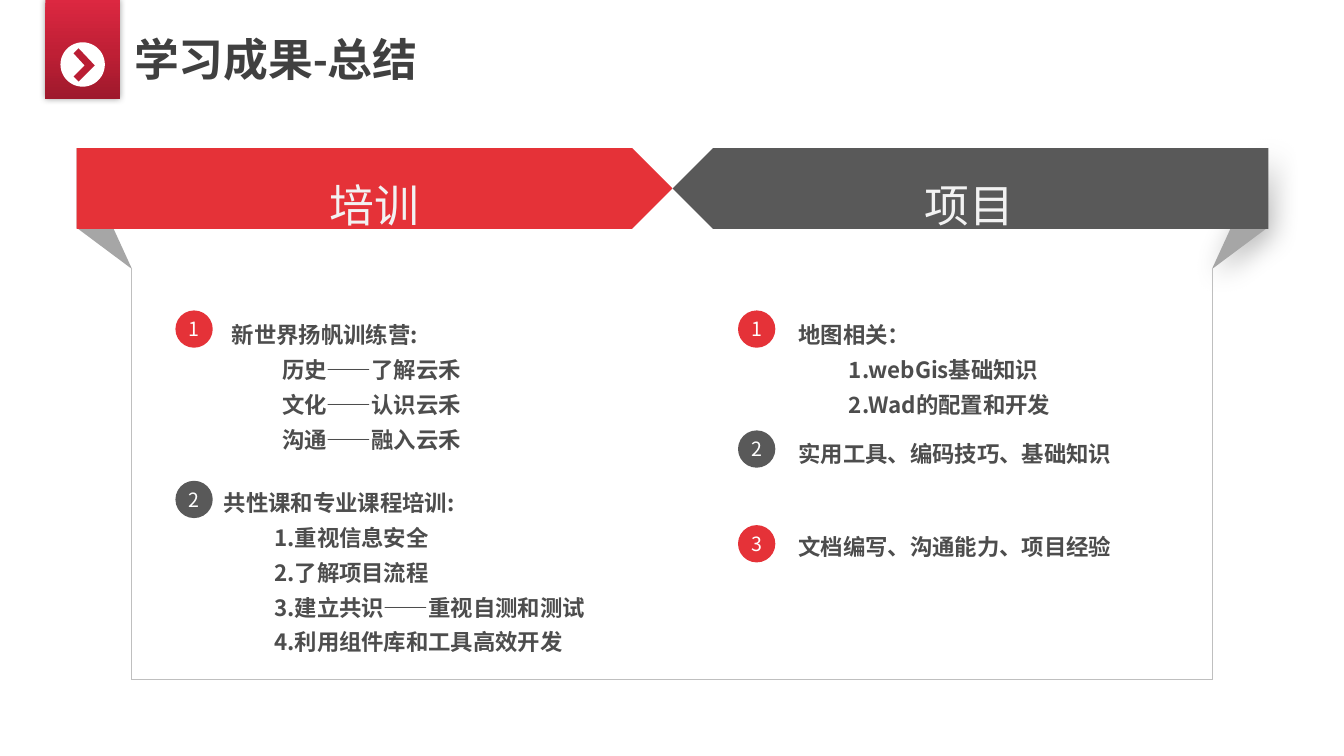
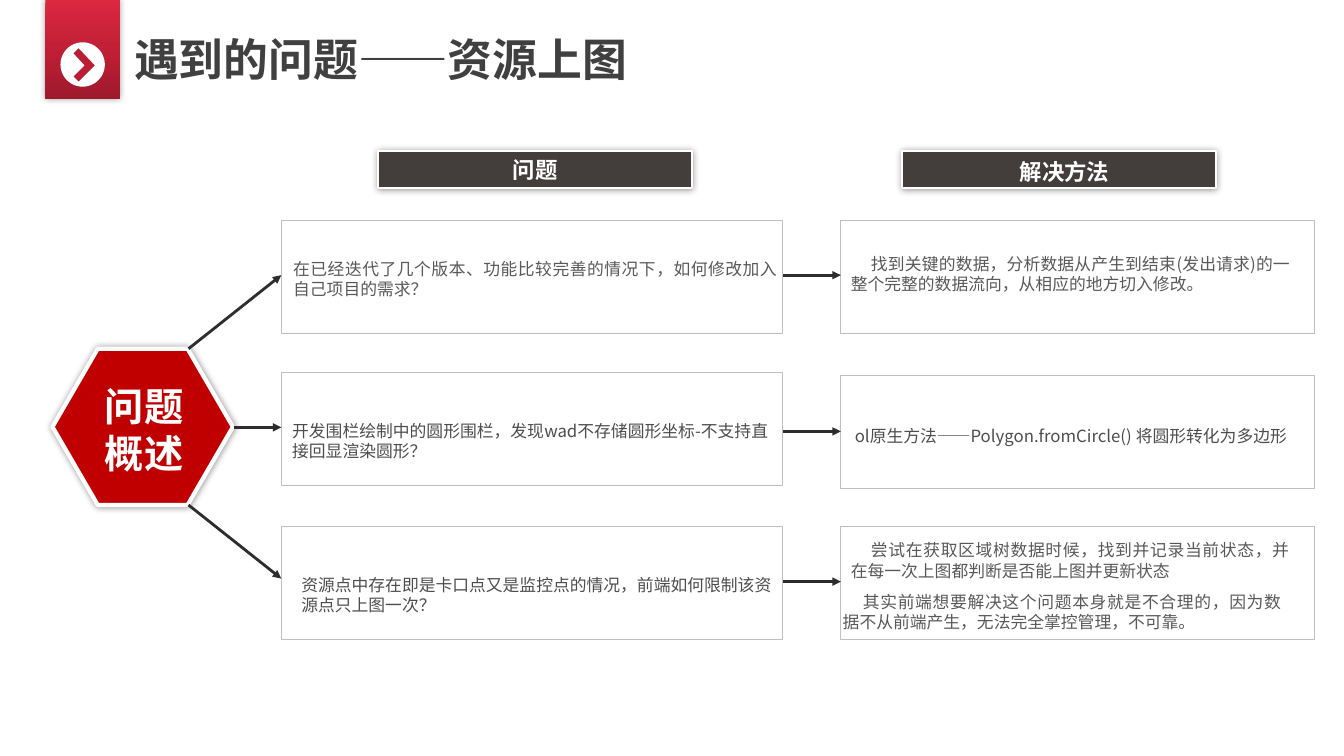
from pptx import Presentation, util as u
from pptx.dml.color import RGBColor
from pptx.enum import shapes, text
from pptx.oxml import parse_xml
from pptx.oxml.ns import nsdecls, qn

HEX = {
    "red": "E53238", "deep": "C00000", "mark": "BA1E34", "gray": "595959",
    "ink": "4D4D4D", "head": "404040", "fold": "A6A6A6", "rule": "BFBFBF",
    "dark": "433D3C", "wire": "2E2C2C", "pale": "F2F2F2", "white": "FFFFFF",
}
RIBBON = [(0, "DC2841"), (53, "BF1F35"), (100, "9E192C")]
FONT = "Noto Sans CJK SC"
GLOW = (40, 5, 0, 0)
CAST = (30, 20, 5, 45)
KIND = shapes.MSO_SHAPE
LEFT, MID, JUST = text.PP_ALIGN.LEFT, text.PP_ALIGN.CENTER, text.PP_ALIGN.JUSTIFY


def xml(tag, attrs="", inner=""):
    return parse_xml(f"<a:{tag} {nsdecls('a')} {attrs}>{inner}</a:{tag}>")


def rgb(name):
    return RGBColor.from_string(HEX[name])


class Deck:
    def __init__(self):
        self.prs = Presentation()
        self.prs.slide_width = u.Inches(13.33)
        self.prs.slide_height = u.Inches(7.5)
        self.page = None

    def start(self, layout, title):
        """Add a slide with its title, ribbon and chevron."""
        self.page = self.prs.slides.add_slide(self.prs.slide_layouts[layout])
        head = self.page.shapes.title
        self.place(head, 1.23, 0.26, 8, 0.64)
        self.put(head.text_frame, [title], 32, "head", True, font="Calibri")
        band = self.shape(KIND.RECTANGLE, 0.45, 0, 0.74, 0.98, "red", glow=GLOW)
        band.fill.gradient()
        band.fill.gradient_angle = 270
        stops = band.element.spPr.find(".//" + qn("a:gsLst"))
        stops.clear()
        for pos, tone in RIBBON:
            stops.append(xml("gs", f'pos="{pos * 1000}"', f'<a:srgbClr val="{tone}"/>'))
        self.shape(KIND.OVAL, 0.6, 0.42, 0.44, 0.44, "white")
        self.poly([(0.78, 0.48), (0.94, 0.65), (0.78, 0.81), (0.73, 0.76),
                   (0.84, 0.65), (0.73, 0.53)], "mark")

    def place(self, item, x, y, w, h):
        item.left, item.top = u.Inches(x), u.Inches(y)
        item.width, item.height = u.Inches(w), u.Inches(h)

    def paint(self, item, fill, line=None, width=0, glow=None):
        item.fill.solid()
        item.fill.fore_color.rgb = rgb(fill)
        if line:
            item.line.color.rgb = rgb(line)
            item.line.width = u.Pt(width)
        else:
            item.line.fill.background()
        item.shadow.inherit = False
        if glow:
            alpha, blur, dist, ang = glow
            item.element.spPr.find(qn("a:effectLst")).append(xml(
                "outerShdw",
                f'blurRad="{u.Pt(blur)}" dist="{u.Pt(dist)}" dir="{ang * 60000}" rotWithShape="0"',
                f'<a:srgbClr val="000000"><a:alpha val="{alpha * 1000}"/></a:srgbClr>'))
        return item

    def shape(self, kind, x, y, w, h, fill, **style):
        item = self.page.shapes.add_shape(kind, *map(u.Inches, (x, y, w, h)))
        return self.paint(item, fill, **style)

    def poly(self, pts, fill, **style):
        pen = self.page.shapes.build_freeform(
            *map(u.Inches, pts[0]))
        pen.add_line_segments([tuple(map(u.Inches, pt)) for pt in pts[1:]], close=True)
        return self.paint(pen.convert_to_shape(), fill, **style)

    def line(self, x1, y1, x2, y2, color="rule", width=0.75, arrow=False):
        item = self.page.shapes.add_connector(
            shapes.MSO_CONNECTOR.STRAIGHT, *map(u.Inches, (x1, y1, x2, y2)))
        item.line.color.rgb = rgb(color)
        item.line.width = u.Pt(width)
        spot = item.element.spPr
        if arrow:
            spot.find(qn("a:ln")).append(xml("tailEnd", 'type="triangle"'))
        spot.append(xml("effectLst"))

    def arrow(self, *ends):
        self.line(*ends, color="wire", width=0, arrow=True)

    def put(self, frame, lines, size, color, bold=False, align=LEFT,
            space=1, gap=0, first=0, font=FONT):
        """Fill a frame; a line that starts with a tab goes one level down."""
        frame.word_wrap = True
        frame.auto_size = text.MSO_AUTO_SIZE.NONE
        frame.vertical_anchor = text.MSO_ANCHOR.TOP
        for n, line in enumerate(lines):
            para = frame.add_paragraph() if n else frame.paragraphs[0]
            para.level = int(line.startswith("\t"))
            para.alignment, para.line_spacing = align, space
            para.space_before = u.Pt(gap if n else 0)
            para.space_after = u.Pt(0)
            props = para._p.get_or_add_pPr()
            props.set("marL", str(u.Inches(0.5 * para.level)))
            props.set("indent", str(u.Inches(first)))
            props.append(xml("buNone"))
            run = para.add_run()
            run.text = line.strip("\t")
            run.font.size, run.font.bold = u.Pt(size), bold
            run.font.name = font
            run.font.color.rgb = rgb(color)
            run._r.rPr.find(qn("a:latin")).addnext(xml("ea", f'typeface="{FONT}"'))

    def label(self, x, y, w, h, words, *style, **more):
        box = self.page.shapes.add_textbox(*map(u.Inches, (x, y, w, h)))
        self.put(box.text_frame, [words], *style, **more)

    def items(self, idx, x, y, w, h, lines, gap=0):
        body = self.page.placeholders[idx]
        self.place(body, x, y, w, h)
        self.put(body.text_frame, lines, 16, "ink", True, space=1.3, gap=gap)

    def badge(self, x, y, num):
        dot = self.shape(KIND.OVAL, x, y, 0.37, 0.37, "red" if num % 2 else "gray")
        frame = dot.text_frame
        frame.margin_left = frame.margin_right = 0
        frame.margin_top = frame.margin_bottom = 0
        self.put(frame, [str(num)], 14, "white", align=MID)
        frame.vertical_anchor = text.MSO_ANCHOR.MIDDLE


def results(deck):
    deck.start(4, "学习成果-总结")
    deck.poly([(12.57, 1.47), (12.02, 2.67), (12.57, 2.26)], "fold", glow=CAST)
    deck.poly([(0.76, 1.47), (1.31, 2.67), (0.76, 2.26)], "fold")
    for x in (1.3, 12.03):
        deck.line(x, 2.66, x, 6.74)
    deck.line(1.3, 6.74, 12.03, 6.74)

    for x, turn, fill, left, name in ((0.76, 0, "red", 2.16, "培训"),
                                      (6.67, 180, "gray", 8.06, "项目")):
        deck.shape(KIND.PENTAGON, x, 1.47, 5.91, 0.8, fill).rotation = turn
        deck.label(left, 1.55, 3.11, 0.73, name, 32, "pale", align=MID, space=1.3)

    for x, tops in ((1.74, (3.08, 4.77)), (7.32, (3.08, 4.27, 5.21))):
        for num, y in enumerate(tops, 1):
            deck.badge(x, y, num)

    deck.items(1, 2.2, 3.06, 2.97, 1.47, [
        "新世界扬帆训练营:", "\t历史——了解云禾", "\t文化——认识云禾", "\t沟通——融入云禾"])
    deck.items(2, 2.12, 4.72, 4.2, 1.82, [
        "共性课和专业课程培训:", "\t1.重视信息安全", "\t2.了解项目流程",
        "\t3.建立共识——重视自测和测试", "\t4.利用组件库和工具高效开发"])
    deck.items(3, 7.82, 3.06, 3.87, 1.12, [
        "地图相关：", "\t1.webGis基础知识", "\t2.Wad的配置和开发"])
    deck.items(4, 7.82, 4.24, 3.87, 1.34, [
        "实用工具、编码技巧、基础知识", "文档编写、沟通能力、项目经验"], gap=41)


def issues(deck):
    deck.start(5, "遇到的问题——资源上图")
    hexa = deck.shape(KIND.HEXAGON, 0.52, 3.46, 1.79, 1.55, "deep",
                      line="white", width=3, glow=GLOW)
    hexa.adjustments[0] = 0.29
    deck.label(0.78, 3.74, 1.3, 1.04, "问题概述", 28, "white", True, align=MID)

    for x, left, top, name in ((3.75, 3.96, 1.5, "问题"), (8.95, 9.21, 1.52, "解决方法")):
        deck.shape(KIND.RECTANGLE, x, 1.5, 3.11, 0.37, "dark",
                   line="white", width=1.5, glow=GLOW)
        deck.label(left, top, 2.7, 0.37, name, 16, "white", True, align=MID)

    for x, w, tops in ((2.79, 4.97, (2.19, 3.7, 5.22)), (8.34, 4.7, (2.19, 3.73, 5.22))):
        for y in tops:
            deck.shape(KIND.RECTANGLE, x, y, w, 1.12, "white", line="rule")
    for x, y, end in ((1.87, 3.46, 2.73), (2.32, 4.24, 4.24), (1.87, 5.01, 5.74)):
        deck.arrow(x, y, 2.79, end)
    for y in (2.73, 4.28, 5.77):
        deck.arrow(7.77, y, 8.34, y)

    deck.label(2.81, 2.52, 5, 0.5, "在已经迭代了几个版本、功能比较完善的情况下，如何修改加入自己项目的需求？",
               12, "gray", align=JUST)
    for x, y, w, words in (
            (2.8, 4.12, 5, "开发围栏绘制中的圆形围栏，发现wad不存储圆形坐标-不支持直接回显渲染圆形？"),
            (2.89, 5.65, 5, "资源点中存在即是卡口点又是监控点的情况，前端如何限制该资源点只上图一次？"),
            (8.38, 4.17, 4.9, "ol原生方法——Polygon.fromCircle() 将圆形转化为多边形")):
        deck.label(x, y, w, 0.5, words, 12, "ink")
    for x, y, words in (
            (8.34, 2.47, "找到关键的数据，分析数据从产生到结束(发出请求)的一整个完整的数据流向，从相应的地方切入修改。"),
            (8.34, 5.31, "尝试在获取区域树数据时候，找到并记录当前状态，并在每一次上图都判断是否能上图并更新状态"),
            (8.26, 5.82, "其实前端想要解决这个问题本身就是不合理的，因为数据不从前端产生，无法完全掌控管理，不可靠。")):
        deck.label(x, y, 4.55, 0.5, words, 12, "gray", align=JUST, first=0.2)


def main():
    deck = Deck()
    results(deck)
    issues(deck)
    deck.prs.save("out.pptx")


if __name__ == "__main__":
    main()
